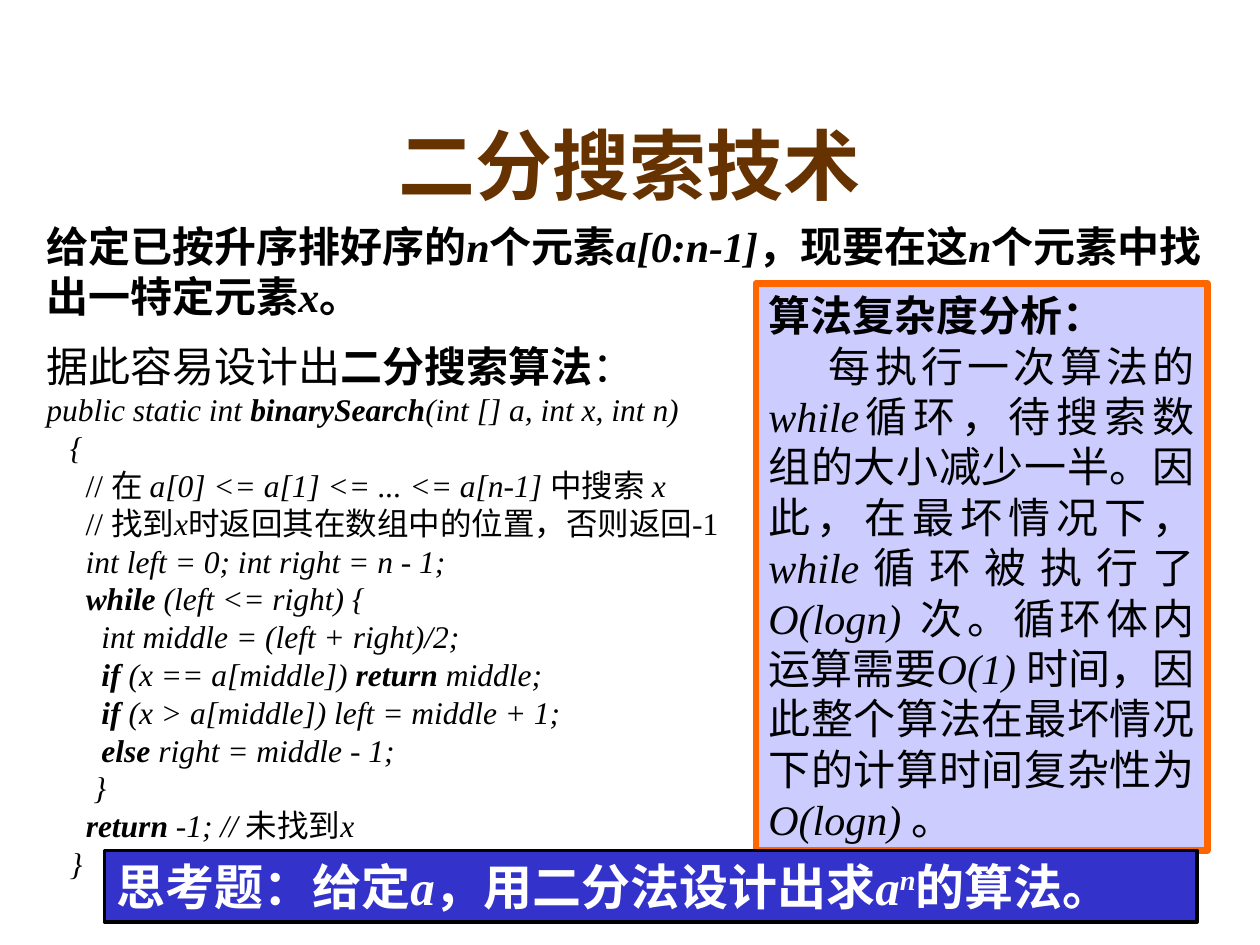
from dataclasses import dataclass
from typing import Optional

from pptx import Presentation
from pptx.dml.color import RGBColor
from pptx.enum.shapes import MSO_SHAPE
from pptx.enum.text import MSO_ANCHOR, PP_ALIGN
from pptx.util import Inches, Pt

BROWN = RGBColor(0x66, 0x33, 0x00)
BLACK = RGBColor(0, 0, 0)
WHITE = RGBColor(0xFF, 0xFF, 0xFF)
LAVENDER = RGBColor(0xCC, 0xCC, 0xFF)
ORANGE = RGBColor(0xFF, 0x66, 0x00)
BLUE = RGBColor(0x33, 0x33, 0xCC)
SERIF = "Times New Roman"


@dataclass
class Box:
    left: float
    top: float
    width: float
    height: float
    fill: Optional[RGBColor] = None
    line: Optional[RGBColor] = None
    weight: float = 0


def add_box(s, box: Box):
    place = [Inches(v) for v in (box.left, box.top, box.width, box.height)]
    if box.fill is None:
        sp = s.shapes.add_textbox(*place)
    else:
        sp = s.shapes.add_shape(MSO_SHAPE.RECTANGLE, *place)
        sp.shadow.inherit = False
        sp.fill.solid()
        sp.fill.fore_color.rgb = box.fill
        sp.line.color.rgb = box.line
        sp.line.width = Pt(box.weight)
    tf = sp.text_frame
    tf.word_wrap = True
    tf.vertical_anchor = MSO_ANCHOR.TOP
    return tf


def add_text(tf, runs, *, size=24, font=SERIF, color=BLACK, bold=False,
             align=PP_ALIGN.LEFT, indent=0.0, spacing=1.2):
    p = tf.paragraphs[0]
    if p.runs:
        p = tf.add_paragraph()
    p.alignment = align
    p.line_spacing = Pt(size * spacing)
    if indent:
        p._p.get_or_add_pPr().set("indent", str(Inches(indent)))
    for text, style in runs:
        r = p.add_run()
        r.text = text
        r.font.size = Pt(size)
        r.font.name = font
        r.font.color.rgb = color
        r.font.bold = bold or "b" in style
        r.font.italic = "i" in style
        if "^" in style:
            r.font._element.set("baseline", "30000")


CODE = [
    [("public static int ", "i"), ("binarySearch", "bi"), ("(int [] a, int x, int n)", "i")],
    [("   {", "i")],
    [("     // 在 ", ""), ("a[0] <= a[1] <= ... <= a[n-1] ", "i"), ("中搜索 ", ""), ("x", "i")],
    [("     // 找到", ""), ("x", "i"), ("时返回其在数组中的位置，否则返回-1", "")],
    [("     int left = 0; int right = n - 1;", "i")],
    [("     ", "i"), ("while", "bi"), (" (left <= right) {", "i")],
    [("       int middle = (left + right)/2;", "i")],
    [("       ", "i"), ("if ", "bi"), ("(x == a[middle]) ", "i"), ("return", "bi"),
     (" middle;", "i")],
    [("       ", "i"), ("if", "bi"), (" (x > a[middle]) left = middle + 1;", "i")],
    [("       ", "i"), ("else", "bi"), (" right = middle - 1;", "i")],
    [("      }", "i")],
    [("     ", "i"), ("return", "bi"), (" -1; // ", "i"), ("未找到", ""), ("x", "i")],
    [("   }", "i")],
]


def main():
    prs = Presentation()
    prs.slide_width, prs.slide_height = Inches(10), Inches(7.5)
    s = prs.slides.add_slide(prs.slide_layouts[5])

    title = s.shapes.title
    title.left, title.top = Inches(0.75), Inches(0.67)
    title.width, title.height = Inches(8.5), Inches(1.25)
    title.text_frame.vertical_anchor = MSO_ANCHOR.MIDDLE
    add_text(title.text_frame, [("二分搜索技术", "")], size=44, font="Noto Sans CJK SC",
             color=BROWN, bold=True, align=PP_ALIGN.CENTER)

    tf = add_box(s, Box(0.27, 1.7, 9.45, 0.9))
    add_text(tf, [("给定已按升序排好序的", ""), ("n", "i"), ("个元素", ""), ("a[0:n-1]", "i"),
                  ("，现要在这", ""), ("n", "i"), ("个元素中找出一特定元素", ""), ("x", "i"),
                  ("。", "")], bold=True)

    tf = add_box(s, Box(0.27, 2.65, 9.14, 4.4))
    add_text(tf, [("据此容易设计出", ""), ("二分搜索算法", "b"), ("：", "")])
    for runs in CODE:
        add_text(tf, runs, size=18)

    tf = add_box(s, Box(6, 2.25, 3.58, 4.5, LAVENDER, ORANGE, 4))
    add_text(tf, [("算法复杂度分析：", "")], font="Arial", bold=True)
    add_text(tf, [("每执行一次算法的", ""), ("while", "i"),
                  ("循环，待搜索数组的大小减少一半。因此，在最坏情况下，", ""), ("while", "i"),
                  ("循环被执行了", ""), ("O(logn) ", "i"), ("次。循环体内运算需要", ""),
                  ("O(1) ", "i"), ("时间，因此整个算法在最坏情况下的计算时间复杂性为", ""),
                  ("O(logn) ", "i"), ("。", "")], align=PP_ALIGN.JUSTIFY, indent=0.48)

    tf = add_box(s, Box(0.83, 6.75, 8.67, 0.57, BLUE, BLACK, 2))
    add_text(tf, [("思考题：给定", ""), ("a", "i"), ("，用二分法设计出求", ""), ("a", "i"),
                  ("n", "i^"), ("的算法。", "")], size=28, color=WHITE, bold=True)

    prs.save("out.pptx")


if __name__ == "__main__":
    main()
